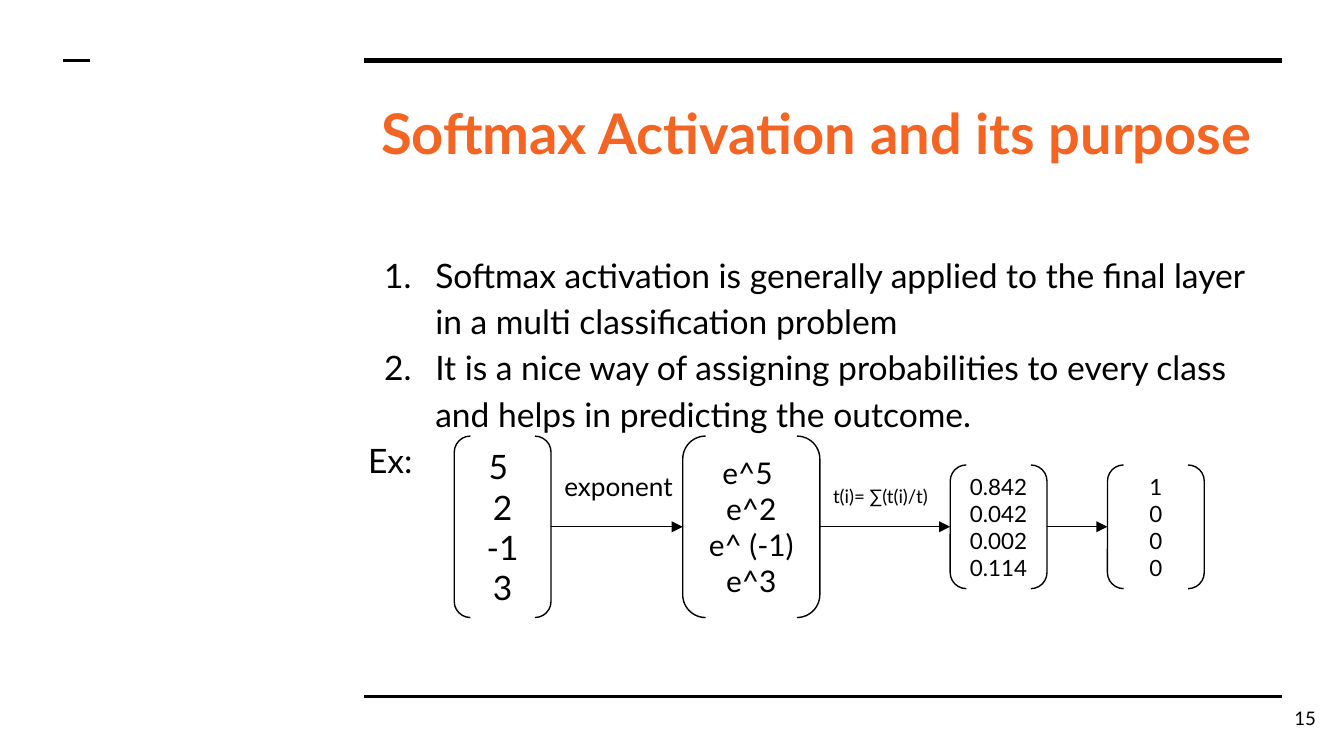
from lxml.etree import SubElement
from pptx import Presentation
from pptx.dml.color import RGBColor
from pptx.enum.shapes import MSO_CONNECTOR, MSO_SHAPE
from pptx.enum.text import MSO_ANCHOR as ANCHOR, PP_ALIGN as ALIGN
from pptx.oxml.ns import qn
from pptx.util import Pt

PX = 9144  # 100 px to the inch
WIDTH = 1000
FONT, BLACK, ORANGE = "Lato", "000000", "F46524"

RULES = [  # left, right, y, weight
    (271, 954, 45, 3),
    (271, 954, 518, 1.5),
    (47, 67, 45, 1.5),
]
TITLE = "Softmax Activation and its purpose"
POINTS = [
    "Softmax activation is generally applied to the final layer in a multi classification problem",
    "It is a nice way of assigning probabilities to every class and helps in predicting the outcome.",
]
EXAMPLE = "Ex:"
PAGE = "15"
AXIS_Y = 392  # the vectors are centred on this line
VECTORS = [  # left, width, height, text size, entries
    (338, 72, 135, 18, ["5 ", "2", "-1", "3"]),
    (508, 102, 135, 16, ["e^5 ", "e^2", "e^ (-1)", "e^3"]),
    (707, 72, 92, 12, ["0.842", "0.042", "0.002", "0.114"]),
    (824, 72, 92, 12, ["1", "0", "0", "0"]),
]
STEPS = [  # box, text size, line spacing, label
    ((410, 340, 102, 43), 14, 1.0, "exponent"),
    ((610, 349, 96, 43), 10, 1.15, "t(i)= ∑(t(i)/t)"),
]


def color(value):
    return RGBColor.from_string(value)


def emu(*lengths):
    return [round(n * PX) for n in lengths]


def write(sp, lines, size, align=ALIGN.LEFT, anchor=ANCHOR.TOP, spacing=1.0,
          ink=BLACK, bold=False):
    """Fill a shape with one paragraph per line and return the paragraphs."""
    tf = sp.text_frame
    margin = 10 * PX
    frame = {"word_wrap": True, "vertical_anchor": anchor, "margin_left": margin,
             "margin_right": margin, "margin_top": margin, "margin_bottom": margin}
    for name, value in frame.items():
        setattr(tf, name, value)
    tf.text = "\n".join(lines)
    for p in tf.paragraphs:
        p.alignment, p.line_spacing = align, spacing
        font = p.runs[0].font
        for name, value in {"name": FONT, "size": Pt(size), "bold": bold}.items():
            setattr(font, name, value)
        font.color.rgb = color(ink)
    return tf.paragraphs


def add_text(box, lines, size, **style):
    return write(shapes.add_textbox(*emu(*box)), lines, size, **style)


def number(p):
    pPr = p._p.get_or_add_pPr()
    pPr.set("marL", str(50 * PX))
    pPr.set("indent", str(-38 * PX))
    SubElement(SubElement(pPr, qn("a:buClr")), qn("a:srgbClr"), val=BLACK)
    SubElement(pPr, qn("a:buFont"), typeface=FONT)
    SubElement(pPr, qn("a:buAutoNum"), type="arabicPeriod")


def add_line(left, right, y, weight, arrow=False):
    line = shapes.add_connector(MSO_CONNECTOR.STRAIGHT, *emu(left, y, right, y))
    line.line.color.rgb = color(BLACK)
    line.line.width = Pt(weight)
    if arrow:
        SubElement(line.line._get_or_add_ln(), qn("a:tailEnd"), type="triangle")
    SubElement(line._element.spPr, qn("a:effectLst"))


def add_vector(left, width, height, size, entries):
    sp = shapes.add_shape(MSO_SHAPE.DOUBLE_BRACKET,
                          *emu(left, AXIS_Y - height / 2, width, height))
    sp.shadow.inherit = False
    sp.fill.background()
    sp.line.color.rgb = color(BLACK)
    sp.line.width = Pt(0.75)
    write(sp, entries, size, align=ALIGN.CENTER, anchor=ANCHOR.MIDDLE)


prs = Presentation()
prs.slide_width, prs.slide_height = emu(WIDTH, WIDTH * 9 / 16)
shapes = prs.slides.add_slide(prs.slide_layouts[6]).shapes

for rule in RULES:
    add_line(*rule)
add_text((929, 513, 60, 43), [PAGE], 10, align=ALIGN.RIGHT, anchor=ANCHOR.MIDDLE)
add_text((262, 63, 691, 69), [TITLE], 30, align=ALIGN.CENTER, ink=ORANGE, bold=True)
body = add_text((264, 175, 691, 328), POINTS + [EXAMPLE], 18, spacing=1.15)
for p in body[:len(POINTS)]:
    number(p)

for vector in VECTORS:
    add_vector(*vector)
for (left, width, *_), (next_left, *_) in zip(VECTORS, VECTORS[1:]):
    add_line(left + width, next_left, AXIS_Y, 0.75, arrow=True)
for box, size, spacing, label in STEPS:
    add_text(box, [label], size, spacing=spacing)

prs.save("out.pptx")
